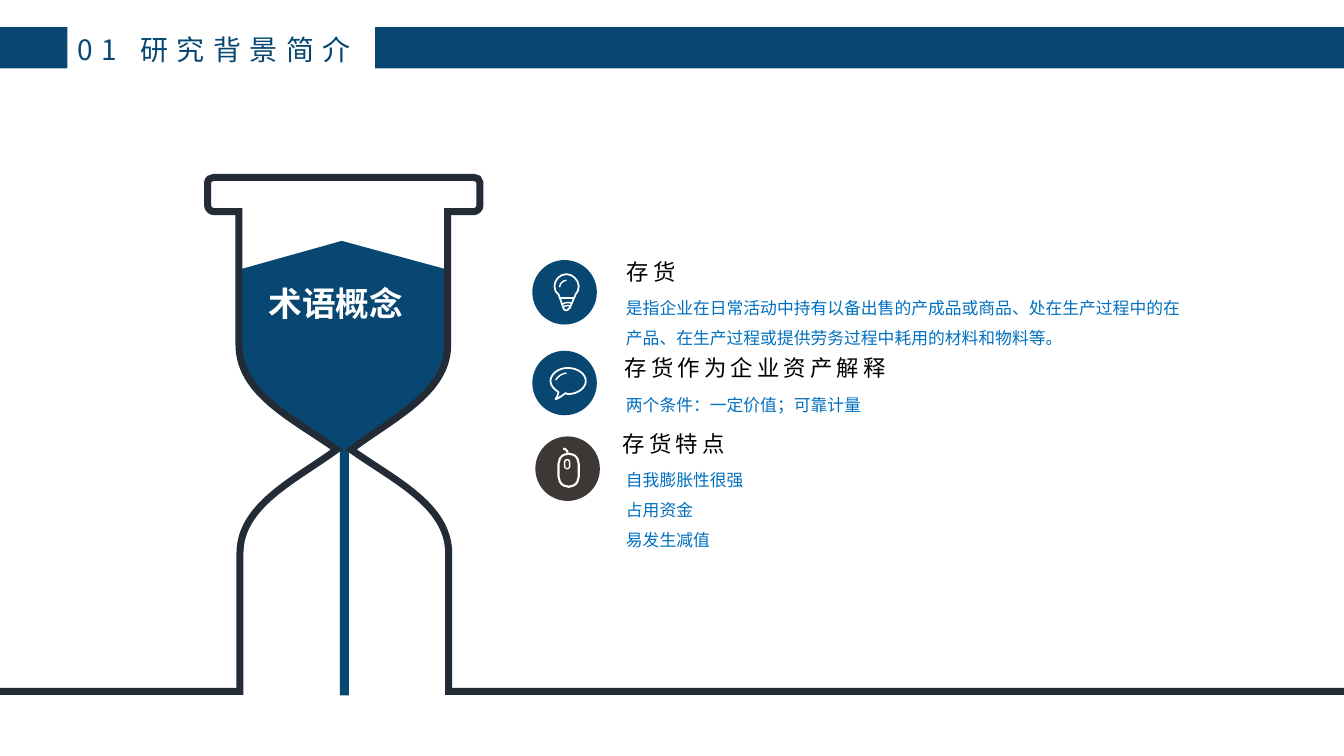
"""Build a slide that explains inventory terms beside an hourglass."""
from lxml import etree
from pptx import Presentation, util as u
from pptx.dml.color import RGBColor
from pptx.enum import shapes, text
from pptx.oxml.ns import qn

NAVY, INK, WHITE, BLUE = "084772", "232B36", "FFFFFF", "0070C0"
FONT = "Noto Sans CJK SC"
kind = shapes.MSO_SHAPE
fit = text.MSO_AUTO_SIZE
I = u.Inches


def paint(shp, fill=None, line=None, width=1):
    """Set fill and line of a shape and drop its shadow."""
    shp.shadow.inherit = False
    if fill:
        shp.fill.solid()
        shp.fill.fore_color.rgb = RGBColor.from_string(fill)
    else:
        shp.fill.background()
    if line:
        shp.line.color.rgb = RGBColor.from_string(line)
        shp.line.width = u.Pt(width)
    else:
        shp.line.fill.background()


def write(box, lines, size, color, wrap=True, space=0, lead=None, align=None, bold=None):
    """Fill a text frame, one paragraph for each line."""
    frame = box.text_frame
    frame.word_wrap = wrap
    frame.auto_size = fit.SHAPE_TO_FIT_TEXT
    frame.vertical_anchor = text.MSO_ANCHOR.TOP
    for i, line in enumerate(lines):
        para = frame.add_paragraph() if i else frame.paragraphs[0]
        para.line_spacing = lead
        para.alignment = align
        run = para.add_run()
        run.text = line
        run.font.size = u.Pt(size)
        run.font.bold = bold
        run.font.color.rgb = RGBColor.from_string(color)
        run.font.name = FONT
        props = run.font._element
        etree.SubElement(props, qn("a:ea")).set("typeface", FONT)
        if space:
            props.set("spc", str(space * 100))


deck = Presentation()
deck.slide_width, deck.slide_height = I(13.33), I(7.5)
slide = deck.slides.add_slide(deck.slide_layouts[5])
items = slide.shapes

title = items.title
title.left, title.top, title.width, title.height = I(0.67), I(0.27), I(3.05), I(0.44)
write(title, ["01 研究背景简介"], 20, NAVY, False, 6, align=text.PP_ALIGN.LEFT)

solids = [
    (kind.RECTANGLE, 0, 0.27, 0.67, 0.41, NAVY),
    (kind.RECTANGLE, 3.72, 0.27, 9.61, 0.41, NAVY),
    (kind.OVAL, 5.28, 2.58, 0.64, 0.64, NAVY),
    (kind.OVAL, 5.28, 3.48, 0.64, 0.64, NAVY),
    (kind.OVAL, 5.31, 4.33, 0.64, 0.64, "3D3836"),
    (kind.RECTANGLE, 3.37, 4.43, 0.09, 2.47, NAVY),
]
for form, x, y, w, h, color in solids:
    paint(items.add_shape(form, I(x), I(y), I(w), I(h)), color)

sand = [(2.39, 2.67), (3.39, 2.39), (4.42, 2.67), (4.42, 3.43),
        (4.42, 3.9, 3.88, 4.15, 3.48, 4.44), (3.49, 4.45), (3.34, 4.45),
        (2.93, 4.15, 2.39, 3.9, 2.39, 3.43)]
glass = [(2.12, 1.76), (4.7, 1.76), (4.73, 1.76, 4.76, 1.78, 4.76, 1.81),
         (4.76, 2.04), (4.76, 2.07, 4.73, 2.1, 4.7, 2.1), (4.44, 2.1), (4.44, 3.42),
         (4.44, 3.9, 3.89, 4.15, 3.48, 4.46), (3.9, 4.76, 4.45, 5.01, 4.45, 5.49),
         (4.45, 6.86), (13.43, 6.86), (13.43, 7.54), (-0.16, 7.54), (-0.16, 6.86),
         (2.38, 6.86), (2.38, 5.49), (2.38, 5.01, 2.93, 4.76, 3.34, 4.46),
         (2.92, 4.16, 2.37, 3.91, 2.37, 3.42), (2.37, 2.1), (2.12, 2.1),
         (2.09, 2.1, 2.06, 2.07, 2.06, 2.04), (2.06, 1.81),
         (2.06, 1.78, 2.09, 1.76, 2.12, 1.76)]
speech = [(5.63, 3.65), (5.73, 3.65, 5.81, 3.71, 5.81, 3.78),
          (5.81, 3.85, 5.73, 3.91, 5.63, 3.91), (5.61, 3.9),
          (5.58, 3.92, 5.55, 3.95, 5.51, 3.96), (5.52, 3.94, 5.54, 3.92, 5.54, 3.89),
          (5.49, 3.86, 5.46, 3.82, 5.46, 3.78), (5.46, 3.71, 5.54, 3.65, 5.63, 3.65)]
bulb = [(5.62, 2.72), (5.68, 2.72, 5.74, 2.78, 5.74, 2.84),
        (5.74, 2.87, 5.73, 2.9, 5.71, 2.92), (5.65, 3.06), (5.64, 3.06),
        (5.64, 3.07, 5.63, 3.08, 5.62, 3.08), (5.6, 3.08, 5.59, 3.07, 5.59, 3.06),
        (5.54, 2.92), (5.51, 2.9, 5.5, 2.87, 5.5, 2.84),
        (5.5, 2.78, 5.55, 2.72, 5.62, 2.72)]
outlines = [(sand, NAVY, None, 0), (glass, None, INK, 5),
            (speech, None, WHITE, 1.25), (bulb, None, WHITE, 1.25)]
for route, fill, line, width in outlines:
    dots = [(I(x), I(y)) for step in route for x, y in zip(step[::2], step[1::2])]
    pen = items.build_freeform(*dots[0])
    pen.add_line_segments(dots[1:], close=True)
    shp = pen.convert_to_shape()
    paint(shp, fill, line, width)
    nodes = list(shp._element.iter(qn("a:lnTo")))
    for step in route[1:]:
        part, nodes = nodes[:len(step) // 2], nodes[len(step) // 2:]
        if len(part) == 3:
            curve = etree.Element(qn("a:cubicBezTo"))
            part[0].addprevious(curve)
            for node in part:
                curve.append(node[0])
                node.getparent().remove(node)
    if line == INK:
        etree.SubElement(shp.line._get_or_add_ln(), qn("a:miter")).set("lim", "800000")

strokes = [
    (kind.ARC, 5.49, 3.7, 0.29, 0.29, 301.2, (162, 193.58), 1),
    (kind.ARC, 5.55, 2.78, 0.14, 0.14, 270, (162, 215.5), 1),
    (kind.ARC, 5.55, 3, 0.16, 0.16, 309, (168.25, 210.6), 1),
    (kind.ARC, 5.56, 3.03, 0.14, 0.14, 300, (175.25, 210.13), 1),
    (kind.ROUNDED_RECTANGLE, 5.54, 4.5, 0.2, 0.33, 0, (0.5,), 1.5),
    (kind.ROUNDED_RECTANGLE, 5.6, 4.56, 0.05, 0.09, 0, (0.5,), 1),
    (kind.ARC, 5.54, 4.45, 0.09, 0.09, 0, (162, 212.1), 1.5),
]
for form, x, y, w, h, turn, bends, width in strokes:
    shp = items.add_shape(form, I(x), I(y), I(w), I(h))
    shp.rotation = turn
    for i, bend in enumerate(bends):
        shp.adjustments[i] = bend
    paint(shp, None, WHITE, width)

neck = items.add_connector(shapes.MSO_CONNECTOR.STRAIGHT, I(5.55), I(2.96), I(5.69), I(2.96))
neck.line.color.rgb = RGBColor.from_string(WHITE)
neck.line.width = u.Pt(1.25)
etree.SubElement(neck._element.spPr, qn("a:effectLst"))

terms = [
    ("存货", 6.12, 2.51, 0.73, 2.8, 0.67,
     ["是指企业在日常活动中持有以备出售的产成品或商品、处在生产过程中的在产品、"
      "在生产过程或提供劳务过程中耗用的材料和物料等。"]),
    ("存货作为企业资产解释", 6.1, 3.46, 2.87, 3.77, 0.37, ["两个条件：一定价值；可靠计量"]),
    ("存货特点", 6.08, 4.22, 1.27, 4.51, 0.97, ["自我膨胀性很强", "占用资金", "易发生减值"]),
]
for head, x, y, w, top, high, body in terms:
    write(items.add_textbox(I(x), I(y), I(w), I(0.37)), [head], 16, "000000", False, 3)
    write(items.add_textbox(I(6.11), I(top), I(5.71), I(high)), body, 12, BLUE, lead=1.5)

label = items.add_textbox(I(2.52), I(2.76), I(1.7), I(0.5))
write(label, ["术语概念 "], 24, WHITE, align=text.PP_ALIGN.CENTER, bold=True)

deck.save("out.pptx")
